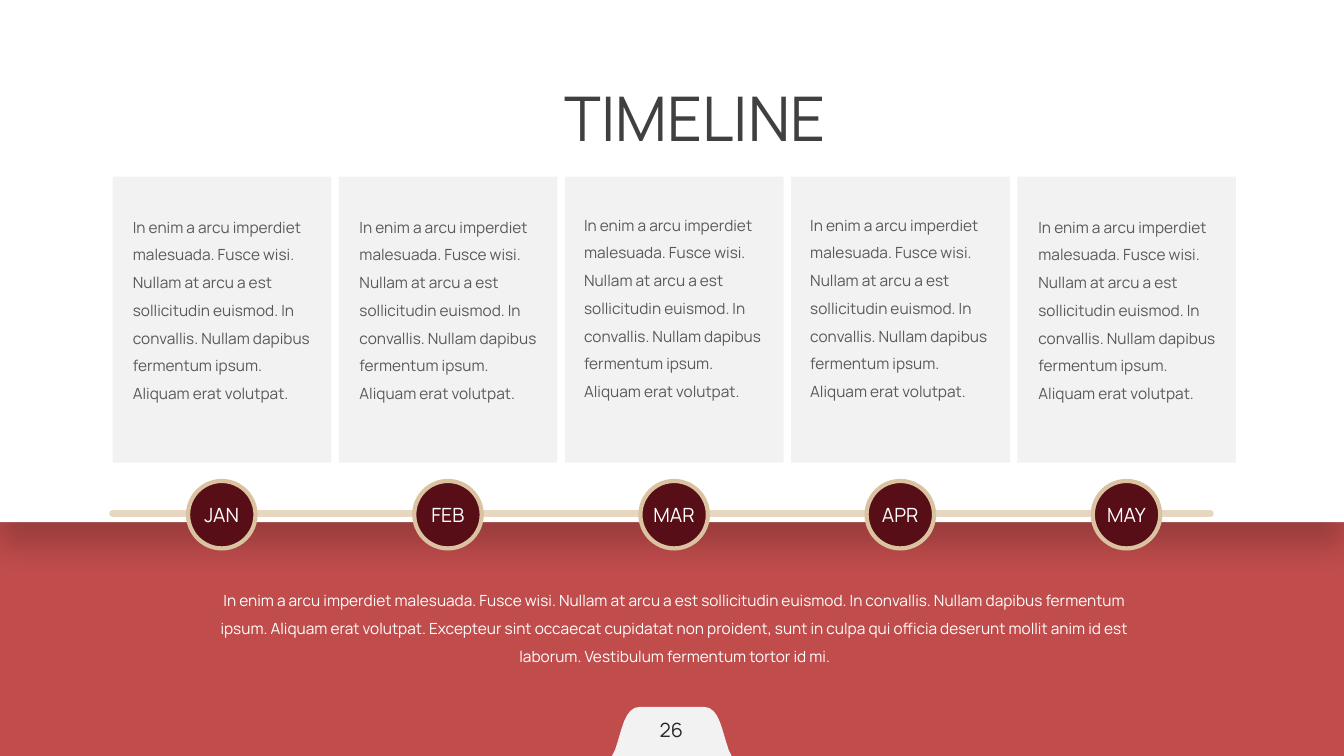
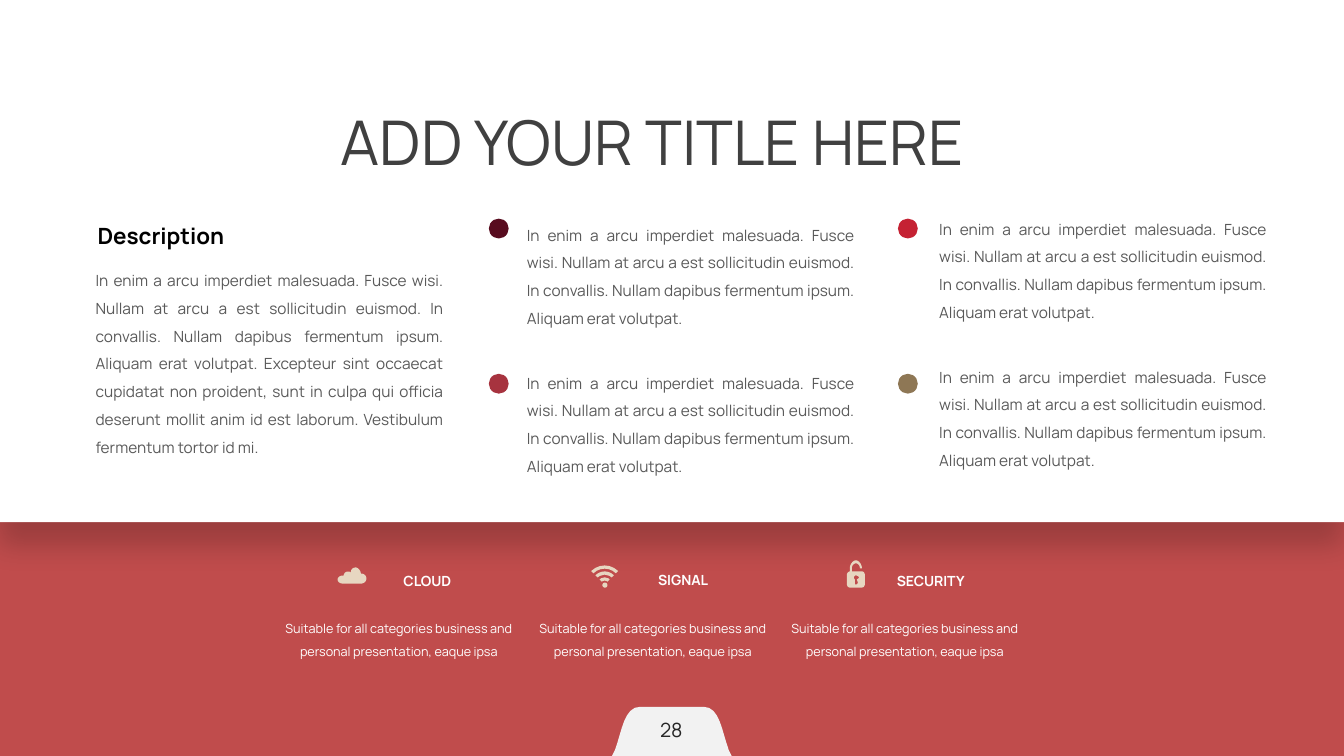
"""Build a monthly timeline slide and a description slide that share one layout."""
from lxml import etree
from pptx import Presentation
from pptx.dml.color import RGBColor
from pptx.enum.shapes import MSO_CONNECTOR, MSO_SHAPE
from pptx.enum.text import MSO_ANCHOR, MSO_AUTO_SIZE, PP_ALIGN
from pptx.oxml.ns import qn
from pptx.util import Cm, Pt

RECTANGLE, OVAL, BLOCK_ARC = MSO_SHAPE.RECTANGLE, MSO_SHAPE.OVAL, MSO_SHAPE.BLOCK_ARC
STRAIGHT = MSO_CONNECTOR.STRAIGHT
LEFT, CENTER, JUSTIFY = PP_ALIGN.LEFT, PP_ALIGN.CENTER, PP_ALIGN.JUSTIFY
TOP, MIDDLE = MSO_ANCHOR.TOP, MSO_ANCHOR.MIDDLE
FIT_SHAPE, NO_FIT = MSO_AUTO_SIZE.SHAPE_TO_FIT_TEXT, MSO_AUTO_SIZE.NONE

FONT = "Manrope"
RED = RGBColor(0xC0, 0x4C, 0x4C)
WHITE = RGBColor(0xFF, 0xFF, 0xFF)
BLACK = RGBColor(0x00, 0x00, 0x00)
PALE_GREY = RGBColor(0xF2, 0xF2, 0xF2)
TITLE_GREY = RGBColor(0x40, 0x40, 0x40)
BODY_GREY = RGBColor(0x59, 0x59, 0x59)
NUMBER_GREY = RGBColor(0x26, 0x26, 0x26)
SAND = RGBColor(0xE7, 0xD7, 0xC1)
DARK_SAND = RGBColor(0xDB, 0xC3, 0xA2)
MAROON = RGBColor(0x57, 0x0E, 0x16)
WINE = RGBColor(0x58, 0x0C, 0x1F)
BRICK = RGBColor(0xA7, 0x33, 0x3F)
CRIMSON = RGBColor(0xC5, 0x22, 0x33)
OLIVE = RGBColor(0x8E, 0x77, 0x55)

SHORT_TEXT = (
    "In enim a arcu imperdiet malesuada. Fusce wisi. Nullam at arcu a est "
    "sollicitudin euismod. In convallis. Nullam dapibus fermentum ipsum. "
    "Aliquam erat volutpat."
)
LONG_TEXT = SHORT_TEXT + (
    " Excepteur sint occaecat cupidatat non proident, sunt in culpa qui officia "
    "deserunt mollit anim id est laborum. Vestibulum fermentum tortor id mi."
)
CAPTION = "Suitable for all categories business and personal presentation, eaque ipsa"

TAB = [[
    (711, 0), (2311, 0), (2718, 0, 2769, 610, 2946, 1092), (3023, 1245),
    (0, 1245), (76, 1092), (254, 610, 305, 0, 711, 0),
]]
CLOUD = [[
    (584, 152), (584, 76, 508, 0, 457, 0), (381, 0, 330, 51, 330, 127),
    (305, 102, 279, 102, 254, 102), (203, 102, 152, 152, 152, 203), (127, 203),
    (51, 203, 0, 254, 0, 305), (0, 356, 51, 406, 127, 406), (584, 406),
    (660, 406, 724, 356, 724, 279), (724, 203, 660, 152, 584, 152),
]]
PADLOCK = [
    [
        (381, 279), (127, 279), (127, 203), (127, 127, 178, 76, 229, 76),
        (279, 76, 330, 127, 330, 203), (381, 203), (381, 102, 305, 0, 229, 0),
        (152, 0, 76, 102, 76, 203), (76, 279), (25, 290, 0, 330, 0, 381),
        (0, 584), (0, 635, 25, 686, 76, 686), (381, 686),
        (432, 686, 457, 635, 457, 584), (457, 381), (457, 330, 432, 279, 381, 279),
    ],
    [
        (254, 483), (279, 559), (279, 584, 254, 610, 229, 610),
        (203, 610, 203, 584, 203, 559), (203, 483), (203, 483, 178, 457, 178, 432),
        (178, 406, 203, 381, 229, 381), (254, 381, 305, 406, 305, 432),
        (305, 457, 279, 457, 254, 483),
    ],
]
CURVE_STEPS = 8


def paint(shape, fill, outline=None, width=0):
    shape.shadow.inherit = False
    shape.fill.solid()
    shape.fill.fore_color.rgb = fill
    if outline is None:
        shape.line.fill.background()
    else:
        shape.line.color.rgb = outline
        shape.line.width = Pt(width)
    return shape


def write(holder, text, size=11, color=BODY_GREY, bold=False, align=LEFT, spacing=None,
          anchor=TOP, wrap=True, fit=FIT_SHAPE, inset=None):
    frame = holder.text_frame
    frame.word_wrap, frame.auto_size, frame.vertical_anchor = wrap, fit, anchor
    if inset is not None:
        frame.margin_left = frame.margin_right = inset
        frame.margin_top = frame.margin_bottom = inset // 2
    paragraph = frame.paragraphs[0]
    paragraph.alignment = align
    if spacing is not None:
        paragraph.line_spacing = spacing
    run = paragraph.add_run()
    run.text = text
    run.font.name, run.font.size, run.font.bold = FONT, Pt(size), bold
    run.font.color.rgb = color


prs = Presentation()
prs.slide_width, prs.slide_height = Cm(33.87), Cm(19.05)
background = prs.slide_master.background.fill
background.solid()
background.fore_color.rgb = RED

layout = prs.slide_layouts[6]
for placeholder in list(layout.placeholders):
    layout.shapes.element.remove(placeholder.element)
timeline = prs.slides.add_slide(layout).shapes
overview = prs.slides.add_slide(layout).shapes

for shapes, contours, left, top, color in (
    (timeline, TAB, 15.42, 17.81, PALE_GREY),
    (overview, CLOUD, 8.51, 14.3, SAND),
    (overview, PADLOCK, 21.34, 14.12, SAND),
):
    builder = shapes.build_freeform(*contours[0][0], scale=Cm(1) / 1000)
    for number, contour in enumerate(contours):
        x, y = contour[0]
        if number:
            builder.move_to(x, y)
        points = []
        for segment in contour[1:]:
            if len(segment) == 6:
                x1, y1, x2, y2, x3, y3 = segment
                for step in range(1, CURVE_STEPS + 1):
                    t = step / CURVE_STEPS
                    a, b, c, d = (1 - t) ** 3, 3 * t * (1 - t) ** 2, 3 * t * t * (1 - t), t ** 3
                    points.append((a * x + b * x1 + c * x2 + d * x3,
                                   a * y + b * y1 + c * y2 + d * y3))
            else:
                points.append(segment)
            x, y = segment[-2:]
        builder.add_line_segments(points, close=True)
    paint(builder.convert_to_shape(Cm(left), Cm(top)), color)

band = paint(timeline.add_shape(RECTANGLE, 0, 0, prs.slide_width, Cm(13.16)), WHITE)
effects = band.element.spPr.find(qn("a:effectLst"))
shadow = etree.SubElement(effects, qn("a:outerShdw"), blurRad=str(Pt(20)), dist=str(Pt(17)),
                          dir="5400000", algn="t", rotWithShape="0")
shadow_color = etree.SubElement(shadow, qn("a:srgbClr"), val="000000")
etree.SubElement(shadow_color, qn("a:alpha"), val="18000")
for shared in list(timeline):
    layout.shapes.element.append(shared.element)

for shapes, title, left, top, page in (
    (timeline, "TIMELINE", 7.57, 1.9, "26"),
    (overview, "ADD YOUR TITLE HERE", 6.5, 2.49, "28"),
):
    write(shapes.add_textbox(Cm(left), Cm(top), Cm(19.89), Cm(2.13)), title,
          size=44, color=TITLE_GREY, align=CENTER)
    write(shapes.add_textbox(Cm(13.11), Cm(17.88), Cm(7.62), Cm(1.02)), page,
          size=14, color=NUMBER_GREY, align=CENTER, anchor=MIDDLE, fit=NO_FIT)

axis = timeline.add_connector(STRAIGHT, Cm(2.84), Cm(12.95), Cm(30.5), Cm(12.95))
axis.line.color.rgb = SAND
axis.line.width = Pt(5)
axis.element.spPr.get_or_add_ln().set("cap", "rnd")
etree.SubElement(axis.element.spPr, qn("a:effectLst"))

for column, (month, indent, text_top) in enumerate((
    ("JAN", 0.26, 5.13), ("FEB", 0.27, 5.13), ("MAR", 0.23, 5.08),
    ("APR", 0.23, 5.08), ("MAY", 0.28, 5.13),
)):
    left = 2.84 + column * 5.7
    paint(timeline.add_shape(RECTANGLE, Cm(left), Cm(4.45), Cm(5.51), Cm(7.21)), PALE_GREY)
    write(timeline.add_textbox(Cm(left + indent), Cm(text_top), Cm(4.98), Cm(5.84)),
          SHORT_TEXT, spacing=1.5)
    marker = timeline.add_shape(OVAL, Cm(left + 1.9), Cm(12.12), Cm(1.7), Cm(1.7))
    write(paint(marker, MAROON, outline=DARK_SAND, width=3), month, size=14, color=WHITE,
          align=CENTER, anchor=MIDDLE, wrap=False, fit=NO_FIT)

write(timeline.add_textbox(Cm(4.93), Cm(14.55), Cm(24.16), Cm(2.31)), LONG_TEXT,
      color=WHITE, align=CENTER, spacing=1.5)

write(overview.add_textbox(Cm(2.21), Cm(5.13), Cm(11.91), Cm(1.19)), "Description",
      size=16, color=BLACK, bold=True, spacing=1.5)
write(overview.add_textbox(Cm(2.16), Cm(6.48), Cm(9.27), Cm(5.84)), LONG_TEXT,
      align=JUSTIFY, spacing=1.5)

for dot_left, text_left, text_top, colors in (
    (12.32, 13.03, 5.33, (WINE, BRICK)),
    (22.63, 23.42, 5.18, (CRIMSON, OLIVE)),
):
    for row, color in enumerate(colors):
        paint(overview.add_shape(OVAL, Cm(dot_left), Cm(5.51 + row * 3.91), Cm(0.5), Cm(0.5)),
              color)
        write(overview.add_textbox(Cm(text_left), Cm(text_top + row * 3.73), Cm(8.76), Cm(3.02)),
              SHORT_TEXT, align=JUSTIFY, spacing=1.5)

signal = overview.add_group_shape().shapes
for radius in (0.48, 0.33, 0.18):
    wave = paint(signal.add_shape(BLOCK_ARC, Cm(15.24 - radius), Cm(14.73 - radius),
                                  Cm(2 * radius), Cm(2 * radius)), SAND)
    wave.adjustments[0] = 135
    wave.adjustments[1] = 189
    wave.adjustments[2] = 0.04 / radius
paint(signal.add_shape(OVAL, Cm(15.18), Cm(14.68), Cm(0.13), Cm(0.13)), SAND)

for feature, label_left, label_top, label_width, caption_left in (
    ("CLOUD", 9.17, 14.12, 3.2, 6.99),
    ("SIGNAL", 16.15, 14.1, 2.13, 13.39),
    ("SECURITY", 22.35, 14.12, 2.21, 19.74),
):
    write(overview.add_textbox(Cm(label_left), Cm(label_top), Cm(label_width), Cm(0.77)),
          feature, size=10, color=WHITE, bold=True, align=CENTER, spacing=1.5, inset=Cm(0.18))
    write(overview.add_textbox(Cm(caption_left), Cm(15.37), Cm(6.12), Cm(1.88)),
          CAPTION, size=9, color=WHITE, align=CENTER, spacing=1.5, inset=Cm(0.18))

prs.save("out.pptx")
